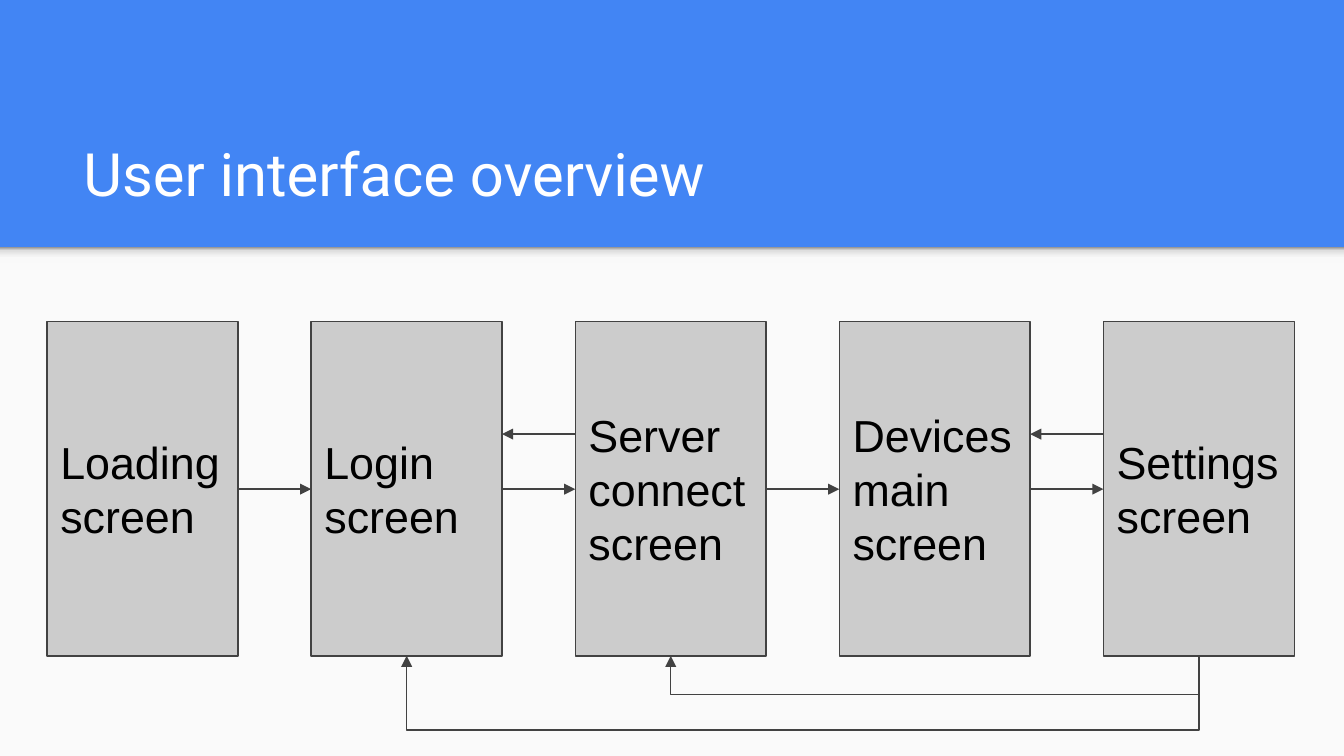
from lxml import etree
from pptx import Presentation
from pptx.dml.color import RGBColor
from pptx.enum.shapes import MSO_CONNECTOR, MSO_SHAPE
from pptx.enum.text import MSO_ANCHOR, PP_ALIGN
from pptx.oxml.ns import qn
from pptx.util import Emu, Inches, Pt

RECTANGLE = MSO_SHAPE.RECTANGLE
STRAIGHT, ELBOW = MSO_CONNECTOR.STRAIGHT, MSO_CONNECTOR.ELBOW
LEFT = PP_ALIGN.LEFT
MIDDLE, BOTTOM = MSO_ANCHOR.MIDDLE, MSO_ANCHOR.BOTTOM

WIDTH = 10
HEIGHT = WIDTH * 9 / 16
BAND_BOTTOM = 1.84
SCREENS = ["Loading screen", "Login\nscreen", "Server connect screen",
           "Devices main screen", "Settings screen"]
LOADING, LOGIN, SERVER, DEVICES, SETTINGS = range(5)

# Row of screens
FIRST_LEFT, LAST_LEFT = 0.35, 8.21
STEP = (LAST_LEFT - FIRST_LEFT) / SETTINGS
BOX_TOP, BOX_WIDTH, BOX_HEIGHT = 2.39, 1.42, 2.49
BOX_BOTTOM = BOX_TOP + BOX_HEIGHT
FORWARD_Y, BACK_Y = 3.64, 3.23

BLUE, PAPER, GREY, DARK = "4285F4", "FAFAFA", "CCCCCC", "424242"
SHADE_STOPS = [(0, "F9F9F9"), (36, "F9F9F9"), (80, "DEDEDE"), (100, "999999")]


def color(value):
    return RGBColor.from_string(value)


def column_left(column):
    return FIRST_LEFT + column * STEP


def column_center(column):
    return column_left(column) + BOX_WIDTH / 2


def write_text(shape, text, size, font, ink, anchor):
    frame = shape.text_frame
    frame.word_wrap = True
    frame.vertical_anchor = anchor
    frame.margin_left = frame.margin_right = Inches(0.1)
    frame.margin_top = frame.margin_bottom = Inches(0.1)
    frame.text = text
    for para in frame.paragraphs:
        para.alignment = LEFT
        para.font.size = Pt(size)
        para.font.name = font
        para.font.color.rgb = color(ink)


def add_box(page, left, top, width, height, fill, line=None):
    box = page.shapes.add_shape(RECTANGLE, Inches(left), Inches(top),
                                Inches(width), Inches(height))
    box.shadow.inherit = False
    box.fill.solid()
    box.fill.fore_color.rgb = color(fill)
    if line:
        box.line.color.rgb = color(line)
        box.line.width = Pt(0.75)
    else:
        box.line.fill.background()
    return box


def add_shade(page, top, height):
    """Strip that fades from dark at its top to the paper colour."""
    shade = add_box(page, 0, top, WIDTH, height, PAPER)
    shade.fill.gradient()
    shade.fill.gradient_angle = 90
    stops = next(shade._element.spPr.iter(qn("a:gsLst")))
    for stop in list(stops):
        stops.remove(stop)
    for percent, value in SHADE_STOPS:
        stop = etree.SubElement(stops, qn("a:gs"), pos=str(percent * 1000))
        etree.SubElement(stop, qn("a:srgbClr"), val=value)


def add_arrow(page, start, end, kind=STRAIGHT):
    arrow = page.shapes.add_connector(kind, *map(Inches, start + end))
    arrow.line.color.rgb = color(DARK)
    arrow.line.width = Pt(0.75)
    etree.SubElement(arrow.line._get_or_add_ln(), qn("a:tailEnd"), type="triangle")
    etree.SubElement(arrow._element.spPr, qn("a:effectLst"))
    return arrow


def add_return_arrow(page, source, target, drop):
    """Elbow turned by 90 degrees that runs below the row of boxes."""
    right, left = column_center(source), column_center(target)
    arrow = add_arrow(page, (right, BOX_BOTTOM), (left, BOX_BOTTOM), ELBOW)
    span, thin = right - left, Emu(600)
    properties = arrow._element.spPr
    transform = properties.find(qn("a:xfrm"))
    transform.attrib.clear()
    transform.set("rot", str(90 * 60000))
    arrow.left = Inches((left + right) / 2)
    arrow.top = Inches(BOX_BOTTOM - span / 2)
    arrow.width, arrow.height = thin, Inches(span)
    # The bend is a share of the very thin unrotated width
    bend = round(Inches(drop) / thin * 100000)
    guides = properties.find(qn("a:prstGeom")).get_or_add_avLst()
    etree.SubElement(guides, qn("a:gd"), name="adj1", fmla=f"val {bend}")


def main():
    deck = Presentation()
    deck.slide_width, deck.slide_height = Inches(WIDTH), Inches(HEIGHT)
    page = deck.slides.add_slide(deck.slide_layouts[5])

    # Background and title
    page.background.fill.solid()
    page.background.fill.fore_color.rgb = color(BLUE)
    add_box(page, 0, BAND_BOTTOM, WIDTH, HEIGHT - BAND_BOTTOM, PAPER)
    add_shade(page, BAND_BOTTOM, 0.12)
    title = page.shapes.title
    title.left, title.top = Inches(0.52), Inches(0.81)
    title.width, title.height = Inches(8.99), Inches(0.84)
    write_text(title, "User interface overview", size=32, font="Roboto",
               ink="FFFFFF", anchor=BOTTOM)

    # Screens
    for column, name in enumerate(SCREENS):
        box = add_box(page, column_left(column), BOX_TOP, BOX_WIDTH, BOX_HEIGHT,
                      GREY, line=DARK)
        write_text(box, name, size=24, font="Arial", ink="000000", anchor=MIDDLE)

    # Steps forward, steps back and returns
    for column in range(LOADING, SETTINGS):
        add_arrow(page, (column_left(column) + BOX_WIDTH, FORWARD_Y),
                  (column_left(column + 1), FORWARD_Y))
    for column in (LOGIN, DEVICES):
        add_arrow(page, (column_left(column + 1), BACK_Y),
                  (column_left(column) + BOX_WIDTH, BACK_Y))
    for target, drop in ((LOGIN, 0.46), (SERVER, 0.24)):
        add_return_arrow(page, SETTINGS, target, drop)

    deck.save("out.pptx")


if __name__ == "__main__":
    main()
